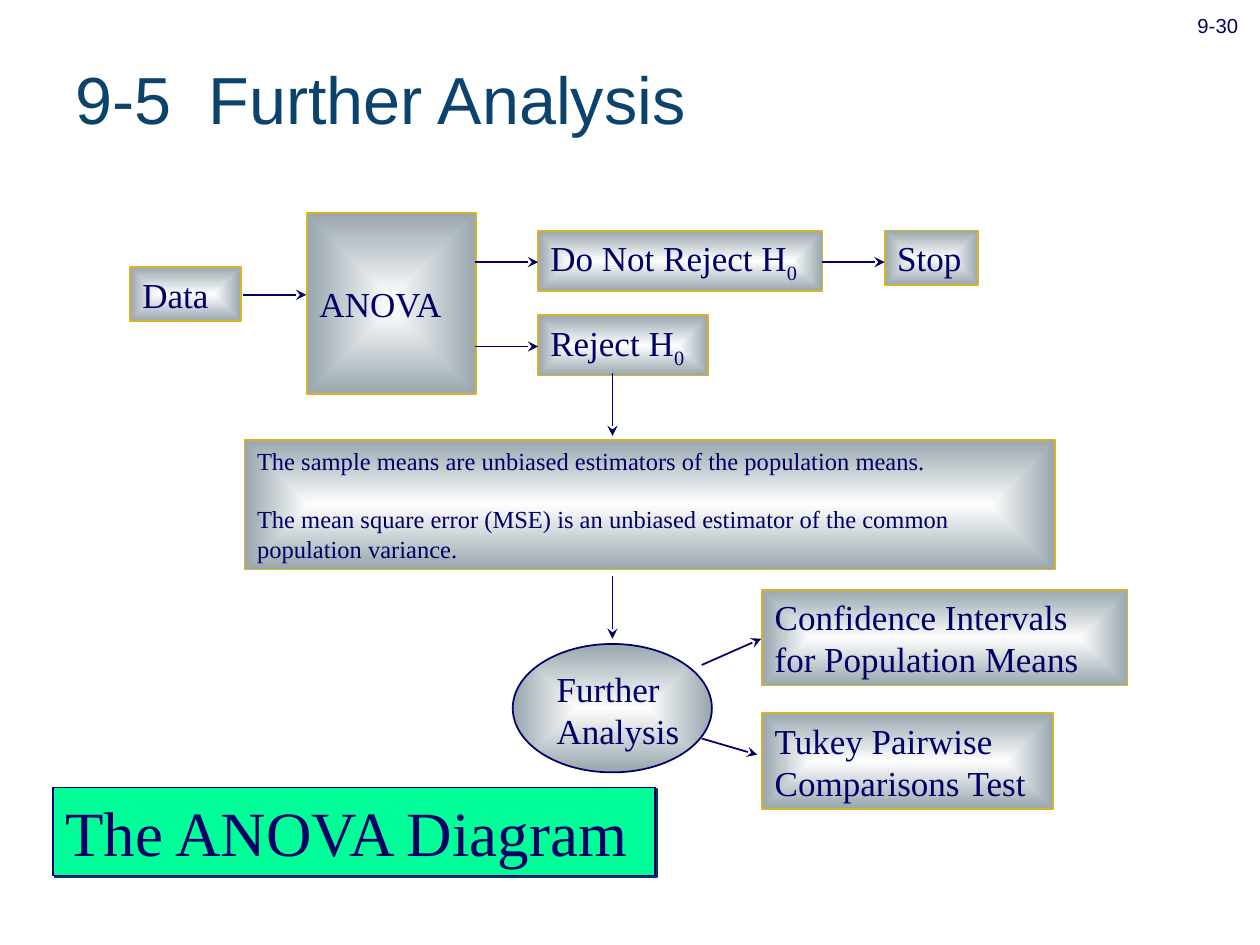
import pptx
import pptx.dml.color
import pptx.enum.shapes
import pptx.enum.text
import pptx.oxml
import pptx.oxml.ns
import pptx.util
from lxml import etree

Pt = pptx.util.Pt
SHAPES = pptx.enum.shapes.MSO_SHAPE
ALIGN = pptx.enum.text.PP_ALIGN
ANCHOR = pptx.enum.text.MSO_ANCHOR
COLORS = {
    "ink": "000066",
    "title": "0C436C",
    "gold": "D8B228",
    "center": "FEFEFE",
    "edge": "98A6AE",
    "banner": "00FF99",
    "shadow": "003366",
}
NAMESPACE = pptx.oxml.ns.nsdecls("a")
GRADIENT = (
    f'<a:gradFill {NAMESPACE} rotWithShape="1"><a:gsLst>'
    f'<a:gs pos="0"><a:srgbClr val="{COLORS["center"]}"/></a:gs>'
    f'<a:gs pos="100000"><a:srgbClr val="{COLORS["edge"]}"/></a:gs></a:gsLst>'
    '<a:path path="rect"><a:fillToRect l="50000" t="50000" r="50000" b="50000"/></a:path>'
    '</a:gradFill>'
)
SHADOW = (
    f'<a:outerShdw {NAMESPACE} dist="17780" dir="2700000" algn="ctr" rotWithShape="0">'
    f'<a:srgbClr val="{COLORS["shadow"]}"/></a:outerShdw>'
)


def color(name):
    return pptx.dml.color.RGBColor.from_string(COLORS[name])


class DiagramSlide:
    serif = "Times New Roman"
    sans = "Arial"

    def __init__(self, deck):
        self.slide = deck.slides.add_slide(deck.slide_layouts[5])

    def style(self, para, size, font, ink="ink"):
        para.font.size = Pt(size)
        para.font.name = font
        para.font.color.rgb = color(ink)

    def title(self, text, left, top, width, height, tab):
        box = self.slide.shapes.title
        box.left, box.top, box.width, box.height = Pt(left), Pt(top), Pt(width), Pt(height)
        box.text_frame.vertical_anchor = ANCHOR.MIDDLE
        para = box.text_frame.paragraphs[0]
        para.text = text
        para.alignment = ALIGN.LEFT
        tabs = etree.SubElement(para._p.get_or_add_pPr(), pptx.oxml.ns.qn("a:tabLst"))
        etree.SubElement(tabs, pptx.oxml.ns.qn("a:tab"), pos=str(Pt(tab)), algn="l")
        self.style(para, 38, self.sans, "title")

    def set_text(self, box, texts, size, font=None, align=ALIGN.LEFT, anchor=ANCHOR.TOP,
                 gap=0, subscript=""):
        frame = box.text_frame
        frame.word_wrap = True
        frame.vertical_anchor = anchor
        for index, text in enumerate(texts):
            para = frame.add_paragraph() if index else frame.paragraphs[0]
            para.alignment = align
            if index:
                para.space_before = Pt(gap)
            if text:
                para.add_run().text = text
            if subscript:
                span = para.add_run()
                span.text = subscript
                span.font._element.set("baseline", "-25000")
            self.style(para, size, font or self.serif)

    def shape(self, kind, left, top, width, height, outline):
        box = self.slide.shapes.add_shape(kind, Pt(left), Pt(top), Pt(width), Pt(height))
        box.shadow.inherit = False
        box.line.color.rgb = color(outline)
        box.line.width = Pt(1)
        return box

    def shade(self, box):
        box._element.spPr.insert(2, pptx.oxml.parse_xml(GRADIENT))

    def node(self, left, top, width, height, *texts, size=20, **options):
        box = self.shape(SHAPES.RECTANGLE, left, top, width, height, "gold")
        self.shade(box)
        self.set_text(box, texts, size, **options)

    def oval(self, left, top, width, height):
        self.shade(self.shape(SHAPES.OVAL, left, top, width, height, "ink"))

    def banner(self, left, top, width, height, text):
        box = self.shape(SHAPES.RECTANGLE, left, top, width, height, "ink")
        box.fill.solid()
        box.fill.fore_color.rgb = color("banner")
        effects = box._element.spPr.find(pptx.oxml.ns.qn("a:effectLst"))
        effects.append(pptx.oxml.parse_xml(SHADOW))
        self.set_text(box, [text], 36)

    def label(self, left, top, width, height, text, size, **options):
        box = self.slide.shapes.add_textbox(Pt(left), Pt(top), Pt(width), Pt(height))
        self.set_text(box, [text], size, **options)

    def arrow(self, left, top, right, bottom):
        arrow = self.slide.shapes.add_connector(
            pptx.enum.shapes.MSO_CONNECTOR.STRAIGHT, Pt(left), Pt(top), Pt(right), Pt(bottom))
        arrow.line.color.rgb = color("ink")
        arrow.line.width = Pt(1)
        properties = arrow._element.spPr
        outline = properties.find(pptx.oxml.ns.qn("a:ln"))
        etree.SubElement(outline, pptx.oxml.ns.qn("a:tailEnd"), type="stealth")
        etree.SubElement(properties, pptx.oxml.ns.qn("a:effectLst"))


def main():
    deck = pptx.Presentation()
    deck.slide_width, deck.slide_height = Pt(720), Pt(540)
    page = DiagramSlide(deck)

    page.title("9-5\tFurther Analysis", 36, 10.8, 667.4, 90, tab=76)
    page.label(668.9, -9.4, 54, 34.6, "", 20, font=page.sans, align=ALIGN.CENTER,
               subscript="9-30")

    page.node(74.2, 152.6, 63.4, 31, "Data")
    page.node(175.5, 121.7, 96.5, 103.7, "ANOVA", anchor=ANCHOR.MIDDLE)
    page.node(307.4, 131.8, 162.7, 34.6, "Do Not Reject H", subscript="0")
    page.node(505.6, 131.8, 53.3, 31, "Stop")
    page.node(307.4, 180, 97.2, 34.6, "Reject H", subscript="0")
    page.node(139.8, 251.3, 463, 74.2,
              "The sample means are unbiased estimators of the population means.",
              "The mean square error (MSE) is an unbiased estimator of the common "
              "population variance.", size=14, gap=16.5)
    page.oval(293, 368, 113.8, 73.4)
    page.label(311, 378, 96.5, 54.7, "Further Analysis", 20)
    page.node(435.6, 337, 208.8, 54.7, "Confidence Intervals for Population Means")
    page.node(435.6, 407.5, 166.3, 54.7, "Tukey Pairwise Comparisons Test")

    for left, top in [(139, 168.5), (271.5, 149.8), (469.5, 149.8), (271.5, 198)]:
        page.arrow(left, top, left + 36, top)
    for top in (213.1, 329):
        page.arrow(350, top, 350, top + 36)
    page.arrow(401, 380, 435, 365)
    page.arrow(401, 422, 432.7, 431.3)

    page.banner(30.2, 450, 344.2, 50.4, "The ANOVA Diagram")
    deck.save("out.pptx")


if __name__ == "__main__":
    main()
